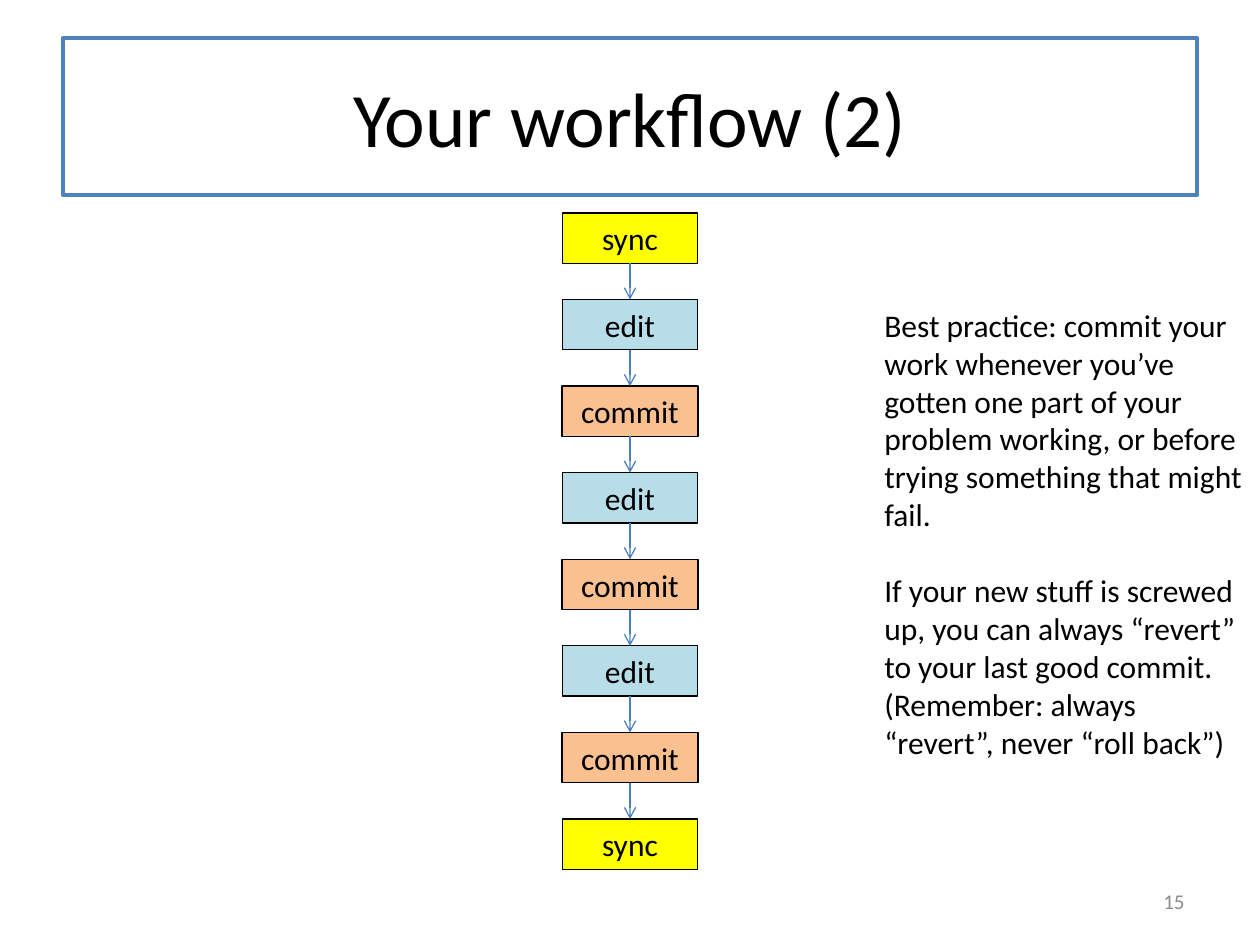
from dataclasses import dataclass
from itertools import pairwise

from lxml import etree
from pptx import Presentation
from pptx.dml.color import RGBColor
from pptx.enum.shapes import MSO_CONNECTOR, MSO_SHAPE
from pptx.enum.text import MSO_ANCHOR, PP_ALIGN
from pptx.oxml.ns import qn
from pptx.shapes.autoshape import Shape
from pptx.slide import Slide
from pptx.util import Inches, Pt

RECTANGLE = MSO_SHAPE.RECTANGLE
STRAIGHT = MSO_CONNECTOR.STRAIGHT
LEFT, CENTER, RIGHT = PP_ALIGN.LEFT, PP_ALIGN.CENTER, PP_ALIGN.RIGHT
TOP, MIDDLE = MSO_ANCHOR.TOP, MSO_ANCHOR.MIDDLE
BOTTOM_SITE, TOP_SITE = 2, 0


@dataclass(frozen=True)
class Theme:
    """Colours, font and type sizes of the slide."""
    font: str = "Calibri"
    title_size: int = 44
    body_size: int = 18
    number_size: int = 12
    ink: str = "000000"
    muted: str = "8C8C8C"
    frame: str = "4F81BD"
    arrow: str = "4B7EBC"
    sync: str = "FFFF00"
    edit: str = "B7DEE8"
    commit: str = "FAC090"


@dataclass(frozen=True)
class Area:
    """A rectangle in inches."""
    left: float
    top: float
    width: float
    height: float


@dataclass(frozen=True)
class Step:
    """One box of the workflow."""
    label: str
    fill: str
    width: float = 1.07


@dataclass(frozen=True)
class Note:
    """One paragraph of advice and the space above it in points."""
    text: str
    space_before: int = 0


THEME = Theme()
SLIDE_WIDTH, SLIDE_HEIGHT = 10, 7.5
FIRST_TOP, LAST_TOP, STEP_HEIGHT = 1.69, 6.5, 0.4

SYNC = Step("sync", THEME.sync)
EDIT = Step("edit", THEME.edit)
COMMIT = Step("commit", THEME.commit, 1.08)
STEPS = [SYNC, *[EDIT, COMMIT] * 3, SYNC]

NOTES = [
    Note("Best practice: commit your work whenever you’ve gotten one part of your "
         "problem working, or before trying something that might fail."),
    Note("If your new stuff is screwed up, you can always “revert” to your last "
         "good commit.", 22),
    Note("(Remember: always “revert”, never “roll back”)"),
]


def place(shape: Shape, area: Area) -> None:
    """Move and size a shape."""
    shape.left, shape.top = Inches(area.left), Inches(area.top)
    shape.width, shape.height = Inches(area.width), Inches(area.height)


def write(shape: Shape, notes: list[Note], size: int, color: str = THEME.ink,
          align: PP_ALIGN = CENTER, anchor: MSO_ANCHOR = MIDDLE) -> None:
    """Fill a shape with formatted paragraphs."""
    frame = shape.text_frame
    frame.word_wrap = True
    frame.vertical_anchor = anchor
    frame.text = "\n".join(note.text for note in notes)
    for para, note in zip(frame.paragraphs, notes):
        para.alignment = align
        para.space_before = Pt(note.space_before)
        para.font.name = THEME.font
        para.font.size = Pt(size)
        para.font.color.rgb = RGBColor.from_string(color)


def outline(shape: Shape, color: str, width: float) -> None:
    """Give a shape a solid outline."""
    shape.line.color.rgb = RGBColor.from_string(color)
    shape.line.width = Pt(width)


def add_text(slide: Slide, area: Area) -> Shape:
    """Add an empty text box."""
    box = slide.shapes.add_textbox(0, 0, 0, 0)
    place(box, area)
    return box


def add_step(slide: Slide, step: Step, row: int) -> Shape:
    """Add a workflow box, centred across the slide."""
    pitch = (LAST_TOP - FIRST_TOP) / (len(STEPS) - 1)
    box = slide.shapes.add_shape(RECTANGLE, 0, 0, 0, 0)
    place(box, Area((SLIDE_WIDTH - step.width) / 2, FIRST_TOP + row * pitch,
                    step.width, STEP_HEIGHT))
    box.shadow.inherit = False
    box.fill.solid()
    box.fill.fore_color.rgb = RGBColor.from_string(step.fill)
    outline(box, THEME.ink, 0.75)
    write(box, [Note(step.label)], THEME.body_size)
    return box


def add_arrow(slide: Slide, upper: Shape, lower: Shape) -> None:
    """Join two boxes with an open-headed arrow."""
    arrow = slide.shapes.add_connector(STRAIGHT, 0, 0, 0, 0)
    arrow.begin_connect(upper, BOTTOM_SITE)
    arrow.end_connect(lower, TOP_SITE)
    outline(arrow, THEME.arrow, 0.75)
    etree.SubElement(arrow.line._get_or_add_ln(), qn("a:tailEnd"), type="arrow")
    etree.SubElement(arrow._element.spPr, qn("a:effectLst"))


def main() -> None:
    """Build and save the slide."""
    deck = Presentation()
    deck.slide_width, deck.slide_height = Inches(SLIDE_WIDTH), Inches(SLIDE_HEIGHT)
    slide = deck.slides.add_slide(deck.slide_layouts.get_by_name("Title Only"))

    title = slide.shapes.title
    place(title, Area(0.5, 0.3, 9, 1.25))
    outline(title, THEME.frame, 2.25)
    write(title, [Note("Your workflow (2)")], THEME.title_size)

    boxes = [add_step(slide, step, row) for row, step in enumerate(STEPS)]
    for upper, lower in pairwise(boxes):
        add_arrow(slide, upper, lower)

    advice = add_text(slide, Area(6.92, 2.38, 3.08, 3.74))
    write(advice, NOTES, THEME.body_size, align=LEFT, anchor=TOP)
    number = add_text(slide, Area(7.17, 6.95, 2.33, 0.4))
    write(number, [Note("15")], THEME.number_size, THEME.muted, RIGHT)
    deck.save("out.pptx")


main()
